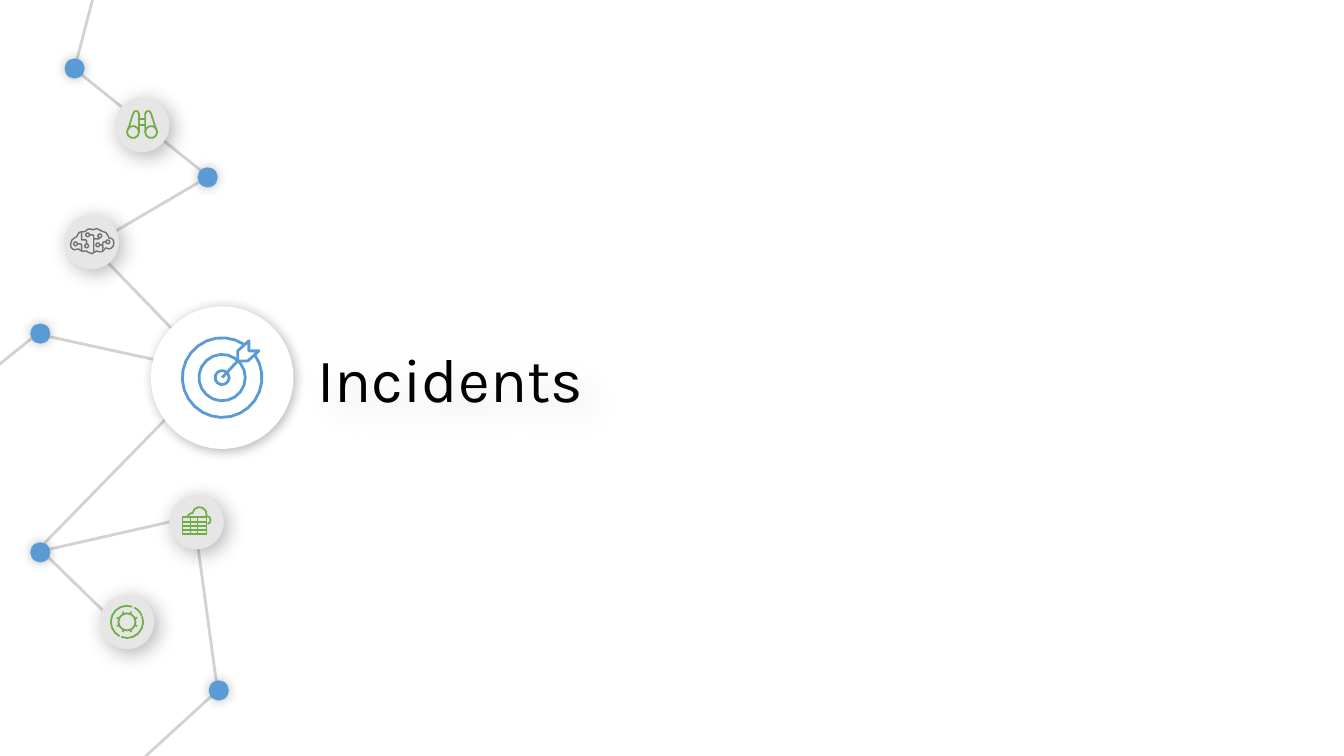
import math

import lxml.etree
import pptx
import pptx.dml.color
import pptx.enum.shapes
import pptx.enum.text
import pptx.oxml.ns
import pptx.util

RGBColor = pptx.dml.color.RGBColor
WHITE = RGBColor(0xFF, 0xFF, 0xFF)
BLACK = RGBColor(0x00, 0x00, 0x00)
LINK_GREY = RGBColor(0xD2, 0xD2, 0xD2)
DISC_GREY = RGBColor(0xE7, 0xE6, 0xE6)
BRAIN_GREY = RGBColor(0x73, 0x73, 0x73)
BLUE = RGBColor(0x5B, 0x9B, 0xD5)
GREEN = RGBColor(0x70, 0xAD, 0x47)

SLIDE_WIDTH = pptx.util.Inches(13.33)
SLIDE_HEIGHT = pptx.util.Inches(7.5)
CELL = SLIDE_HEIGHT / 22.5
ICON_CELL = CELL * 0.03

DOT_RADIUS, SMALL_RADIUS, LARGE_RADIUS = 0.3, 0.81, 2.12
DOT_SHADOW = (27, 8, 0, 0)
SMALL_SHADOW = (30, 15, 4, 45)
LARGE_SHADOW = (30, 9, 2, 45)
TITLE_SHADOW = (10, 20, 12, 45)
TITLE_BOX = (9.15, 9.84, 16.68, 2.82)

LINKS = [
    ((0.93, 10.08), (-0.3, 11.07)),
    ((6.27, 11.07), (1.47, 10.02)),
    ((6.54, 20.49), (3.75, 23.04)),
    ((5.79, 15.54), (6.51, 20.82)),
    ((2.73, 7.32), (6.27, 10.98)),
    ((1.32, 16.47), (3.84, 18.93)),
    ((1.32, 16.38), (5.55, 15.42)),
    ((6.27, 11.1), (1.32, 16.17)),
    ((5.91, 5.43), (2.79, 7.26)),
    ((2.31, 2.13), (6.12, 5.19)),
    ((2.25, 1.92), (2.79, -0.15)),
]
DOTS = [(6.18, 5.28), (6.51, 20.55), (2.22, 2.04), (1.2, 16.44), (1.2, 9.93)]


def arc(x, y, radius, start=0, end=360):
    """Return the points of a circular arc, with angles in degrees clockwise."""
    steps = max(3, round(4 * math.sqrt(radius) * abs(end - start) / 360))
    angles = [math.radians(start + (end - start) * n / steps) for n in range(steps + 1)]
    return [(x + radius * math.cos(a), y + radius * math.sin(a)) for a in angles]


def curve(points):
    """Return the points along a chain of cubic Bézier curves."""
    traced = [points[0]]
    for first in range(0, len(points) - 1, 3):
        for t in (1 / 3, 2 / 3, 1):
            weights = ((1 - t) ** 3, 3 * t * (1 - t) ** 2, 3 * t * t * (1 - t), t ** 3)
            corners = points[first:first + 4]
            traced.append(tuple(sum(w * c[axis] for w, c in zip(weights, corners))
                                for axis in (0, 1)))
    return traced


def target_strokes():
    """Return the rings and the arrow of the target icon."""
    fletching = [(36.5, -26.5), (26.5, -26.5), (26.5, -36.5), (15.5, -26.5),
                 (15.5, -16.5), (25.5, -16.5), (36.5, -26.5)]
    return [arc(0, 0, 39.5, -35.5, 303.5), arc(0, 0, 23), arc(0, 0, 7),
            [(0, 0), (15.5, -16.5)], fletching]


def gear_strokes():
    """Return the broken ring, the wheel and the teeth of the gear icon."""
    rings = [arc(0, 0, 8.5), arc(0, 0, 16, -71, -243),
             arc(0, 0, 16, 111, -20), arc(0, 0, 16, -23, -63)]
    teeth = [[arc(0, 0, radius, 22.5 + 45 * tooth)[0] for radius in (8.5, 11)]
             for tooth in range(8)]
    return rings + teeth


def binocular_strokes():
    """Return the lenses, the barrels and the bridge of the binoculars icon."""
    barrel = [(14, 5), (9, -11)] + arc(6, -11, 3, 0, -180) + [(3, 7)]
    right = [arc(9, 7, 6), barrel]
    left = [[(-x, y) for x, y in stroke] for stroke in right]
    return right + left + [[(-3, y), (3, y)] for y in (-6, 0)]


def table_strokes():
    """Return the grid and the cloud of the table icon."""
    frame = [(-14, -5), (10, -5), (10, 12), (-14, 12), (-14, -5)]
    rules = [[(x, -5), (x, 12)] for x in (-6, 1)]
    rules += [[(-14, y), (10, y)] for y in (0, 4, 8)]
    cloud = arc(-4, -4, 5, 200, 270) + arc(3, -8, 7, 188, 368) + arc(10, -2, 4, -90, 75)
    return [frame, cloud] + rules


def brain_strokes():
    """Return the outline, the terminals and the wires of the brain icon."""
    outline = [(14, 6), (15, 6), (16, 7), (17, 7), (20, 7), (22, 4), (22, 1),
               (22, -2), (20, -4), (17, -4), (17, -4), (16, -11), (9, -11),
               (9, -11), (6, -15), (1, -12), (1, -12), (-4, -15), (-7, -10),
               (-7, -10), (-14, -12), (-15, -5), (-15, -5), (-21, -3), (-21, 2),
               (-22, 6), (-18, 10), (-13, 7), (-13, 7), (-10, 11), (-5, 9),
               (-5, 9), (0, 15), (5, 9), (5, 9), (11, 13), (14, 6)]
    terminals = [(16, 0), (6, 3), (-4, -7), (8, -6), (-5, 4), (-16, 2)]
    wires = [
        [(-10, 9), (-10, 3), (-11, 2), (-14, 2)],
        [(2, 11), (2, -6), (1, -7), (-3, -7)],
        [(2, -3), (7, -3), (8, -4), (8, -5)],
        [(-10, -10), (-10, -2), (-6, -2), (-5, -1), (-5, 2)],
        [(14, 0), (12, 0), (11, 1), (11, 6)],
        [(11, 9), (11, 4), (10, 3), (8, 3)],
    ]
    return [curve(outline)] + [arc(x, y, 2) for x, y in terminals] + wires


def set_shadow(shape, shadow=None):
    """Give the shape an outer shadow, or none at all."""
    qn = pptx.oxml.ns.qn
    effects = lxml.etree.SubElement(shape._element.spPr, qn("a:effectLst"))
    if shadow:
        alpha, blur, distance, angle = shadow
        outer = lxml.etree.SubElement(
            effects, qn("a:outerShdw"), blurRad=str(pptx.util.Pt(blur)),
            dist=str(pptx.util.Pt(distance)), dir=str(angle * 60000),
            algn="ctr", rotWithShape="0")
        colour = lxml.etree.SubElement(outer, qn("a:srgbClr"), val=str(BLACK))
        lxml.etree.SubElement(colour, qn("a:alpha"), val=str(alpha * 1000))


def add_link(shapes, start, end):
    """Draw one grey line of the network."""
    ends = [round(value * CELL) for value in start + end]
    link = shapes.add_connector(pptx.enum.shapes.MSO_CONNECTOR.STRAIGHT, *ends)
    link.line.color.rgb = LINK_GREY
    link.line.width = pptx.util.Pt(2)
    set_shadow(link)


def add_disc(shapes, centre, radius, colour, shadow):
    """Draw a filled circle with a soft shadow."""
    left, top = [round((value - radius) * CELL) for value in centre]
    size = round(2 * radius * CELL)
    disc = shapes.add_shape(pptx.enum.shapes.MSO_SHAPE.OVAL, left, top, size, size)
    disc.fill.solid()
    disc.fill.fore_color.rgb = colour
    disc.line.fill.background()
    set_shadow(disc, shadow)


def add_icon(shapes, centre, strokes, colour, width):
    """Draw the strokes of an icon as one outline around its centre."""
    x, y = [value * CELL for value in centre]
    placed = [[(x + dx * ICON_CELL, y + dy * ICON_CELL) for dx, dy in stroke]
              for stroke in strokes]
    builder = shapes.build_freeform(*placed[0][0])
    for number, stroke in enumerate(placed):
        if number:
            builder.move_to(*stroke[0])
        builder.add_line_segments(stroke[1:], close=False)
    icon = builder.convert_to_shape()
    icon.fill.background()
    icon.line.color.rgb = colour
    icon.line.width = pptx.util.Pt(width)
    set_shadow(icon)


def add_network(slide):
    """Draw the links, the dots and the icon nodes on the left."""
    for start, end in LINKS:
        add_link(slide.shapes, start, end)
    for centre in DOTS:
        add_disc(slide.shapes, centre, DOT_RADIUS, BLUE, DOT_SHADOW)
    small = (SMALL_RADIUS, DISC_GREY, SMALL_SHADOW)
    large = (LARGE_RADIUS, WHITE, LARGE_SHADOW)
    nodes = [
        ((3.78, 18.51), small, gear_strokes(), GREEN, 1.25),
        ((4.23, 3.72), small, binocular_strokes(), GREEN, 1.25),
        ((6.61, 11.24), large, target_strokes(), BLUE, 2),
        ((5.85, 15.54), small, table_strokes(), GREEN, 1.25),
        ((2.73, 7.2), small, brain_strokes(), BRAIN_GREY, 1),
    ]
    for centre, disc, strokes, colour, width in nodes:
        node = slide.shapes.add_group_shape()
        add_disc(node.shapes, centre, *disc)
        add_icon(node.shapes, centre, strokes, colour, width)


def add_title(slide, box):
    """Write the section title in the given box."""
    title = slide.shapes.add_textbox(*[round(value * CELL) for value in box])
    set_shadow(title, TITLE_SHADOW)
    frame = title.text_frame
    frame.word_wrap = True
    frame.auto_size = pptx.enum.text.MSO_AUTO_SIZE.SHAPE_TO_FIT_TEXT
    frame.margin_left = frame.margin_right = pptx.util.Inches(0.1)
    frame.margin_top = frame.margin_bottom = pptx.util.Inches(0.1)
    run = frame.paragraphs[0].add_run()
    run.text = "Incidents"
    run.font.name = "Karla"
    run.font.size = pptx.util.Pt(44)
    run.font.color.rgb = BLACK


def main():
    """Build the section slide and save it."""
    presentation = pptx.Presentation()
    presentation.slide_width, presentation.slide_height = SLIDE_WIDTH, SLIDE_HEIGHT
    slide = presentation.slides.add_slide(presentation.slide_layouts[6])
    add_network(slide)
    add_title(slide, TITLE_BOX)
    presentation.save("out.pptx")


if __name__ == "__main__":
    main()
